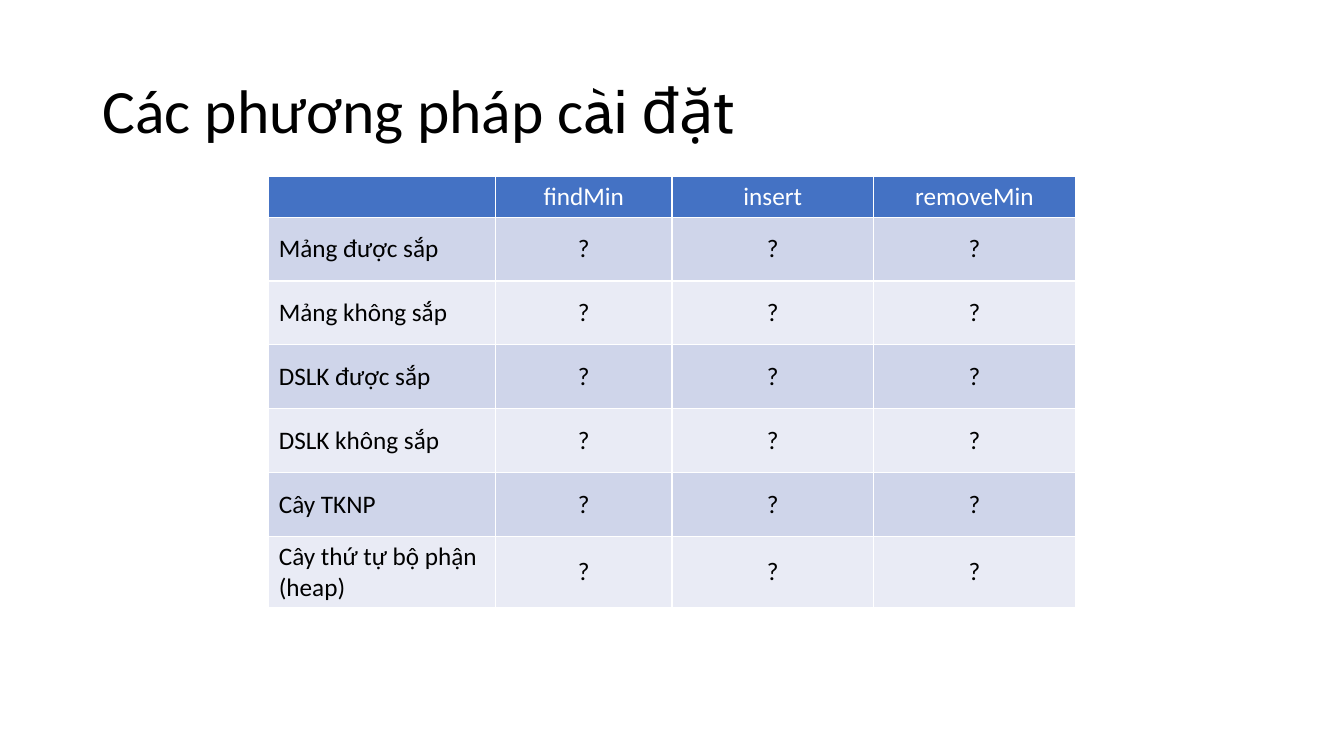
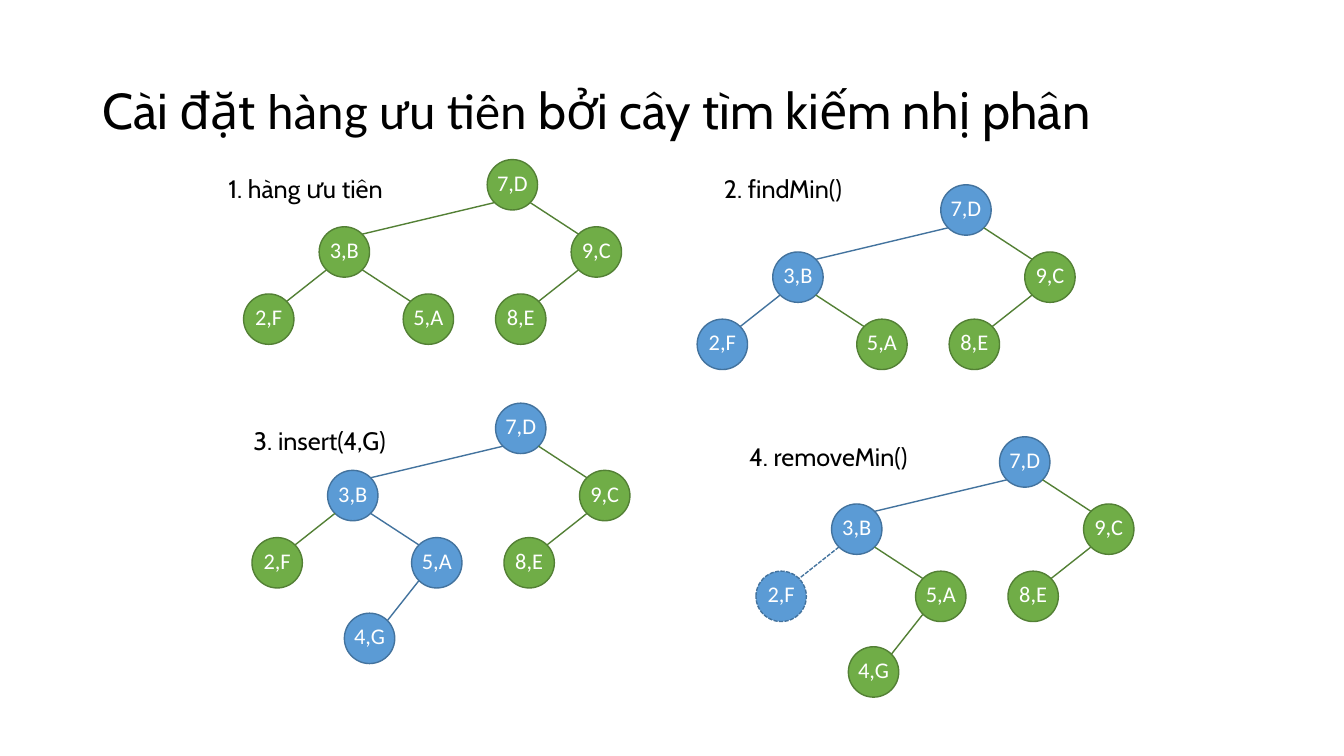
import math
from lxml import etree
from pptx import Presentation
from pptx.dml.color import RGBColor
from pptx.enum.dml import MSO_LINE
from pptx.enum.shapes import MSO_CONNECTOR, MSO_SHAPE
from pptx.enum.text import MSO_ANCHOR, MSO_AUTO_SIZE, PP_ALIGN
from pptx.oxml.ns import qn
from pptx.util import Pt

LEFT, CENTER = PP_ALIGN.LEFT, PP_ALIGN.CENTER
MIDDLE = MSO_ANCHOR.MIDDLE
NO_FIT, GROW = MSO_AUTO_SIZE.NONE, MSO_AUTO_SIZE.SHAPE_TO_FIT_TEXT
OVAL, STRAIGHT = MSO_SHAPE.OVAL, MSO_CONNECTOR.STRAIGHT
DASHED = MSO_LINE.SQUARE_DOT

BLACK, WHITE = "000000", "FFFFFF"
HEADER, BAND_DARK, BAND_LIGHT = "4472C4", "CFD5EA", "E9EBF5"
GREEN, BLUE = ("70AD47", "538035"), ("5B9BD5", "43739E")  # fill, line
BODY_FONT, ACCENT_FONT = "Calibri", "Cabin"


def rgb(value):
    return RGBColor.from_string(value)


def write(para, text, font=BODY_FONT, size=18, color=BLACK, align=LEFT):
    para.alignment = align
    span = para.add_run()
    span.text = text
    span.font.name = font
    span.font.size = Pt(size)
    span.font.bold = False
    span.font.color.rgb = rgb(color)


deck = Presentation()
deck.slide_width, deck.slide_height = Pt(960), Pt(540)

# Pages with their titles
titles = [
    (44, [("Các phương pháp c", BODY_FONT), ("ài đặt", ACCENT_FONT)]),
    (36, [("Cài đặt ", ACCENT_FONT), ("hàng ưu tiên", BODY_FONT),
          (" bởi cây tìm kiếm nhị phân", ACCENT_FONT)]),
]
pages = []
for size, pieces in titles:
    page = deck.slides.add_slide(deck.slide_layouts[5])
    title = page.shapes.title
    title.left, title.top, title.width, title.height = Pt(66), Pt(28.8), Pt(828), Pt(104.4)
    frame = title.text_frame
    frame.auto_size = NO_FIT
    frame.vertical_anchor = MIDDLE
    para = frame.paragraphs[0]
    para.line_spacing = 0.9
    for text, font in pieces:
        write(para, text, font=font, size=size)
    pages.append(page)
table_page, tree_page = pages

# Table of implementation methods
methods = ["Mảng được sắp", "Mảng không sắp", "DSLK được sắp", "DSLK không sắp",
           "Cây TKNP", "Cây thứ tự bộ phận (heap)"]
rows = [["", "findMin", "insert", "removeMin"]]
rows += [[method, "?", "?", "?"] for method in methods]
widths = [162, 126, 144, 144]
heights = [28.8] + [45.6] * 5 + [50.4]
table = table_page.shapes.add_table(len(rows), len(widths), Pt(192), Pt(126),
                                    Pt(sum(widths)), Pt(sum(heights))).table
for column, width in zip(table.columns, widths):
    column.width = Pt(width)
for row_index, (row, height) in enumerate(zip(rows, heights)):
    table.rows[row_index].height = Pt(height)
    is_header = row_index == 0
    band = HEADER if is_header else BAND_DARK if row_index % 2 else BAND_LIGHT
    for column_index, text in enumerate(row):
        cell = table.cell(row_index, column_index)
        cell.vertical_anchor = MIDDLE
        cell.fill.solid()
        cell.fill.fore_color.rgb = rgb(band)
        if text:
            write(cell.text_frame.paragraphs[0], text,
                  color=WHITE if is_header else BLACK,
                  align=CENTER if column_index else LEFT)
        # White cell borders, which must precede the fill
        properties = cell._tc.get_or_add_tcPr()
        for place, side in enumerate(["lnL", "lnR", "lnT", "lnB"]):
            border = etree.Element(qn(f"a:{side}"), w=str(Pt(1)))
            solid = etree.SubElement(border, qn("a:solidFill"))
            etree.SubElement(solid, qn("a:srgbClr"), val=WHITE)
            properties.insert(place, border)

# Tree nodes: parent and offset from the root
NODE = 36
CORNER = NODE / 2 * (1 - math.sqrt(0.5))  # inset of an ellipse's diagonal points
nodes = {
    "7,D": (None, 0, 0),
    "9,C": ("7,D", 60, 48),
    "3,B": ("7,D", -120, 48),
    "5,A": ("3,B", -60, 96),
    "2,F": ("3,B", -174, 96),
    "8,E": ("9,C", 6, 96),
    "4,G": ("5,A", -108, 150),
}
# Caption, its left, top and width, root position, visited, absent and dashed nodes
trees = [
    ("1. hàng ưu tiên", (156, 120, 127), (348, 114), [], ["4,G"], []),
    ("2. findMin()", (510, 120, 105), (672, 132), ["7,D", "3,B", "2,F"], ["4,G"], []),
    ("3. insert(4,G)", (174, 300, 114), (354, 288), ["7,D", "3,B", "5,A", "4,G"], [], []),
    ("4. removeMin()", (528, 312, 137), (714, 312), ["7,D", "3,B", "2,F"], [], ["2,F"]),
]
for caption, (left, top, width), (root_x, root_y), visited, absent, dashed in trees:
    box = tree_page.shapes.add_textbox(Pt(left), Pt(top), Pt(width), Pt(28.8))
    box.text_frame.word_wrap = False
    box.text_frame.auto_size = GROW
    write(box.text_frame.paragraphs[0], caption, font=ACCENT_FONT)

    for name, (parent, dx, dy) in nodes.items():
        if name in absent:
            continue
        fill, outline = BLUE if name in visited else GREEN
        x, y = root_x + dx, root_y + dy
        circle = tree_page.shapes.add_shape(OVAL, Pt(x), Pt(y), Pt(NODE), Pt(NODE))
        circle.shadow.inherit = False
        circle.fill.solid()
        circle.fill.fore_color.rgb = rgb(fill)
        frame = circle.text_frame
        frame.word_wrap = False
        frame.vertical_anchor = MIDDLE
        frame.margin_left = frame.margin_right = frame.margin_top = 0
        frame.margin_bottom = Pt(3.6)
        write(frame.paragraphs[0], name, size=16, color=WHITE, align=CENTER)
        outlined = [circle]

        # Edge from the parent's lower corner to the child's facing upper corner
        if parent:
            parent_dx, parent_dy = nodes[parent][1:]
            near, far = CORNER, NODE - CORNER
            start, end = (near, far) if dx < parent_dx else (far, near)
            edge = tree_page.shapes.add_connector(
                STRAIGHT, Pt(root_x + parent_dx + start), Pt(root_y + parent_dy + far),
                Pt(x + end), Pt(y + near))
            etree.SubElement(edge._element.spPr, qn("a:effectLst"))
            outlined.append(edge)
        for shape in outlined:
            shape.line.color.rgb = rgb(outline)
            shape.line.width = Pt(1)
            if name in dashed:
                shape.line.dash_style = DASHED

deck.save("out.pptx")
